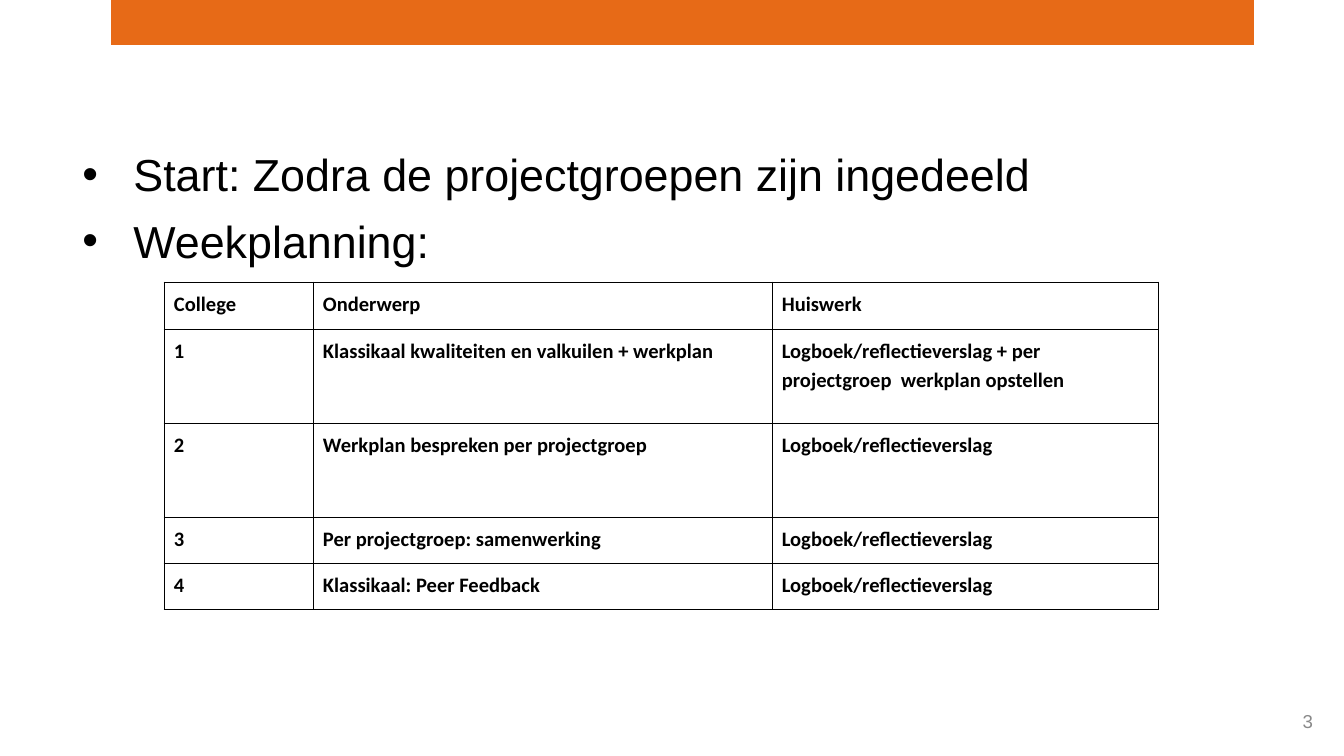
from lxml import etree
from pptx import Presentation
from pptx import util as u
from pptx.dml.color import RGBColor
from pptx.enum import shapes, text
from pptx.oxml import ns

SCALE = 914400 / 134.4
THEME = {
    "accent": RGBColor.from_string("E76A17"),
    "paper": RGBColor.from_string("FFFFFF"),
    "ink": RGBColor.from_string("000000"),
    "muted": RGBColor.from_string("898989"),
    "body": 24,
    "cell": 11,
    "number": 10,
}


def px(n):
    return u.Emu(round(n * SCALE))


def write(p, words, size, font="Arial", color="ink", bold=False, align=None, spacing=None, before=0, bullet=None):
    p.alignment = align
    p.line_spacing = spacing
    p.space_before = u.Pt(before)
    if bullet:
        pPr = p._p.get_or_add_pPr()
        pPr.set("marL", str(px(51)))
        pPr.set("indent", str(-px(51)))
        etree.SubElement(pPr, ns.qn("a:buFont")).set("typeface", "Arial")
        etree.SubElement(pPr, ns.qn("a:buChar")).set("char", bullet)
    r = p.add_run()
    r.text = words
    r.font.size = u.Pt(THEME[size])
    r.font.name = font
    r.font.bold = bold
    r.font.color.rgb = THEME[color]


prs = Presentation()
prs.slide_width, prs.slide_height = px(1344), px(756)
s = prs.slides.add_slide(prs.slide_layouts[1])
title = s.shapes.title
title._element.getparent().remove(title._element)

body = s.placeholders[1]
body.left, body.top, body.width, body.height = px(69), px(140), px(1210), px(550)
tf = body.text_frame
tf.auto_size = text.MSO_AUTO_SIZE.NONE
tf.vertical_anchor = text.MSO_ANCHOR.TOP
points = ["Start: Zodra de projectgroepen zijn ingedeeld", "Weekplanning:"]
for i, point in enumerate(points):
    p = tf.add_paragraph() if i else tf.paragraphs[0]
    write(p, point, "body", bullet="•", before=7 if i else 0)

bar = s.shapes.add_shape(shapes.MSO_SHAPE.RECTANGLE, px(111), 0, px(1143), px(45))
bar.shadow.inherit = False
bar.fill.solid()
bar.fill.fore_color.rgb = THEME["accent"]
bar.line.fill.background()

number = s.shapes.add_textbox(px(1265), px(701), px(48), px(41))
tf = number.text_frame
tf.word_wrap = True
tf.vertical_anchor = text.MSO_ANCHOR.MIDDLE
tf.margin_left = tf.margin_right = tf.margin_top = tf.margin_bottom = 0
write(tf.paragraphs[0], "3", "number", color="muted", align=text.PP_ALIGN.RIGHT)

LOG = "Logboek/reflectieverslag"
rows = [
    ("College", "Onderwerp", "Huiswerk"),
    ("1", "Klassikaal kwaliteiten en valkuilen + werkplan", LOG + " + per projectgroep  werkplan opstellen"),
    ("2", "Werkplan bespreken per projectgroep", LOG),
    ("3", "Per projectgroep: samenwerking", LOG),
    ("4", "Klassikaal: Peer Feedback", LOG),
]
widths = [149, 459, 387]
heights = [47, 94, 94, 46, 47]
table = s.shapes.add_table(5, 3, px(164), px(282), px(sum(widths)), px(sum(heights))).table
table.first_row = table.horz_banding = False
for col, width in zip(table.columns, widths):
    col.width = px(width)
for row, height, words in zip(table.rows, heights, rows):
    row.height = px(height)
    for cell, word in zip(row.cells, words):
        cell.margin_left = cell.margin_right = px(10)
        cell.margin_top = cell.margin_bottom = px(6)
        cell.fill.solid()
        cell.fill.fore_color.rgb = THEME["paper"]
        write(cell.text_frame.paragraphs[0], word, "cell", font="Calibri", bold=True, spacing=1.15)
        tcPr = cell._tc.get_or_add_tcPr()
        for i, side in enumerate(("lnL", "lnR", "lnT", "lnB")):
            ln = etree.Element(ns.qn("a:" + side), w=str(u.Pt(0.45)))
            fill = etree.SubElement(ln, ns.qn("a:solidFill"))
            etree.SubElement(fill, ns.qn("a:srgbClr")).set("val", str(THEME["ink"]))
            tcPr.insert(i, ln)

prs.save("out.pptx")
